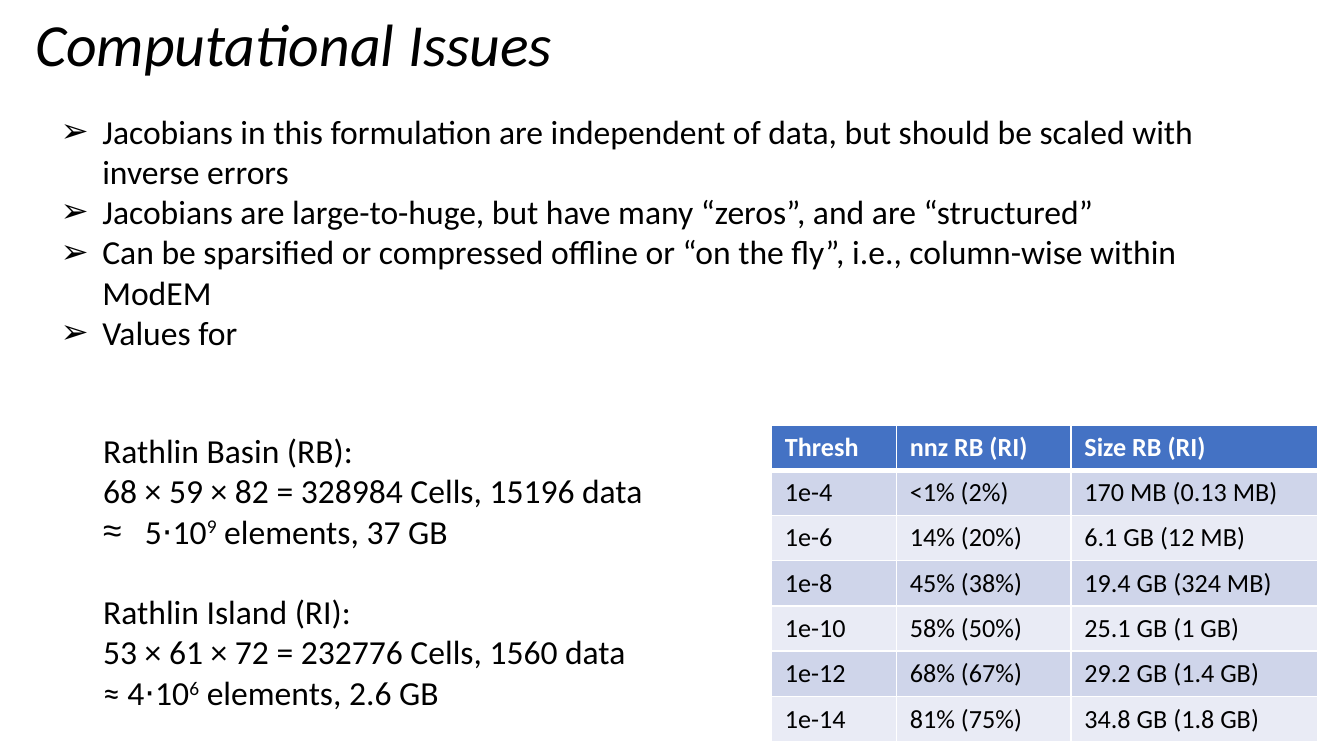
from dataclasses import dataclass

import pptx
import pptx.util
import pptx.dml.color
import pptx.enum.text
import pptx.oxml.ns
from lxml import etree

Cm = pptx.util.Cm
Pt = pptx.util.Pt
qn = pptx.oxml.ns.qn
RGB = pptx.dml.color.RGBColor.from_string


@dataclass(frozen=True)
class Theme:
    font: str = "Calibri"
    ink: str = "000000"
    white: str = "FFFFFF"
    header: str = "4472C4"
    bands: tuple = ("CFD5EA", "E9EBF5")
    title_size: int = 32
    body_size: int = 18
    table_size: int = 14


THEME = Theme()

ISSUES = [
    "Jacobians in this formulation are independent of data, but should be scaled with inverse errors",
    "Jacobians are large-to-huge, but have many “zeros”, and are “structured”",
    "Can be sparsified or compressed offline or “on the fly”, i.e., column-wise within ModEM",
    "Values for",
]

THRESHOLDS = [
    ("Thresh", "nnz RB (RI)", "Size RB (RI)"),
    ("1e-4", "<1% (2%)", "170 MB (0.13 MB)"),
    ("1e-6", "14% (20%)", "6.1 GB (12 MB)"),
    ("1e-8", "45% (38%)", "19.4 GB (324 MB)"),
    ("1e-10", "58% (50%)", "25.1 GB (1 GB)"),
    ("1e-12", "68% (67%)", "29.2 GB (1.4 GB)"),
    ("1e-14", "81% (75%)", "34.8 GB (1.8 GB)"),
]


def add_text(p, text, size=THEME.body_size, color=THEME.ink, bold=False, italic=False, raised=False):
    r = p.add_run()
    r.text = text
    r.font.name = THEME.font
    r.font.size = Pt(size)
    r.font.bold = bold
    r.font.italic = italic
    r.font.color.rgb = RGB(color)
    if raised:
        r.font._element.set("baseline", "30000")


def add_paragraph(tf, first=False, bullet=None, before=0):
    p = tf.paragraphs[0] if first else tf.add_paragraph()
    p.alignment = pptx.enum.text.PP_ALIGN.LEFT
    p.space_before = Pt(before)
    pPr = p._p.get_or_add_pPr()
    indent = Cm(0.79) if bullet else 0
    pPr.set("marL", str(indent))
    pPr.set("indent", str(-indent))
    if bullet:
        etree.SubElement(pPr, qn("a:buFont")).set("typeface", "Arial")
        etree.SubElement(pPr, qn("a:buChar")).set("char", bullet)
    return p


def place_text(sp, left, top, width, height, wrap=True):
    sp.left, sp.top, sp.width, sp.height = Cm(left), Cm(top), Cm(width), Cm(height)
    tf = sp.text_frame
    tf.word_wrap = wrap
    tf.auto_size = pptx.enum.text.MSO_AUTO_SIZE.NONE
    tf.vertical_anchor = pptx.enum.text.MSO_ANCHOR.TOP
    return tf


def add_title(slide):
    tf = place_text(slide.shapes.title, 0.41, 0, 10.39, 1.63, wrap=False)
    add_text(add_paragraph(tf, first=True), "Computational Issues", size=THEME.title_size, italic=True)


def add_issues(slide):
    tf = place_text(slide.placeholders[1], 0.89, 1.96, 22.5, 4.88)
    for i, issue in enumerate(ISSUES):
        add_text(add_paragraph(tf, first=i == 0, bullet="➢"), issue)


def add_models(slide):
    sp = slide.shapes.add_textbox(0, 0, 0, 0)
    tf = place_text(sp, 1.7, 8, 11.76, 5.64, wrap=False)
    models = [
        ("Rathlin Basin (RB):", "68 × 59 × 82 = 328984 Cells, 15196 data",
         "≈", "5⋅10", "9", " elements, 37 GB"),
        ("Rathlin Island (RI):", "53 × 61 × 72 = 232776 Cells, 1560 data",
         None, "≈ 4⋅10", "6", " elements, 2.6 GB"),
    ]
    for i, (name, cells, bullet, base, power, rest) in enumerate(models):
        add_text(add_paragraph(tf, first=i == 0, before=21.6 * i), name)
        add_text(add_paragraph(tf), cells)
        p = add_paragraph(tf, bullet=bullet)
        add_text(p, base)
        add_text(p, power, raised=True)
        add_text(p, rest)


def set_borders(cell, bottom):
    tcPr = cell._tc.get_or_add_tcPr()
    for i, side in enumerate(("lnL", "lnR", "lnT", "lnB")):
        ln = etree.Element(qn("a:" + side))
        ln.set("w", str(Pt(bottom if side == "lnB" else 1)))
        fill = etree.SubElement(ln, qn("a:solidFill"))
        etree.SubElement(fill, qn("a:srgbClr")).set("val", THEME.white)
        tcPr.insert(i, ln)


def add_thresholds(slide):
    widths = (2.36, 3.3, 4.67)
    row_height = 0.845
    frame = slide.shapes.add_table(
        len(THRESHOLDS), len(widths), Cm(14.58), Cm(8.03),
        Cm(sum(widths)), Cm(row_height * len(THRESHOLDS)))
    table = frame.table
    for column, width in zip(table.columns, widths):
        column.width = Cm(width)
    for i, row in enumerate(THRESHOLDS):
        head = i == 0
        for j, value in enumerate(row):
            cell = table.cell(i, j)
            cell.fill.solid()
            cell.fill.fore_color.rgb = RGB(THEME.header if head else THEME.bands[(i - 1) % 2])
            set_borders(cell, bottom=3 if head else 1)
            add_text(cell.text_frame.paragraphs[0], value, size=THEME.table_size,
                     color=THEME.white if head else THEME.ink, bold=head)


def main():
    prs = pptx.Presentation()
    prs.slide_width, prs.slide_height = Cm(25.4), Cm(14.29)
    slide = prs.slides.add_slide(prs.slide_layouts[1])
    add_title(slide)
    add_models(slide)
    add_thresholds(slide)
    add_issues(slide)
    prs.save("out.pptx")


if __name__ == "__main__":
    main()
